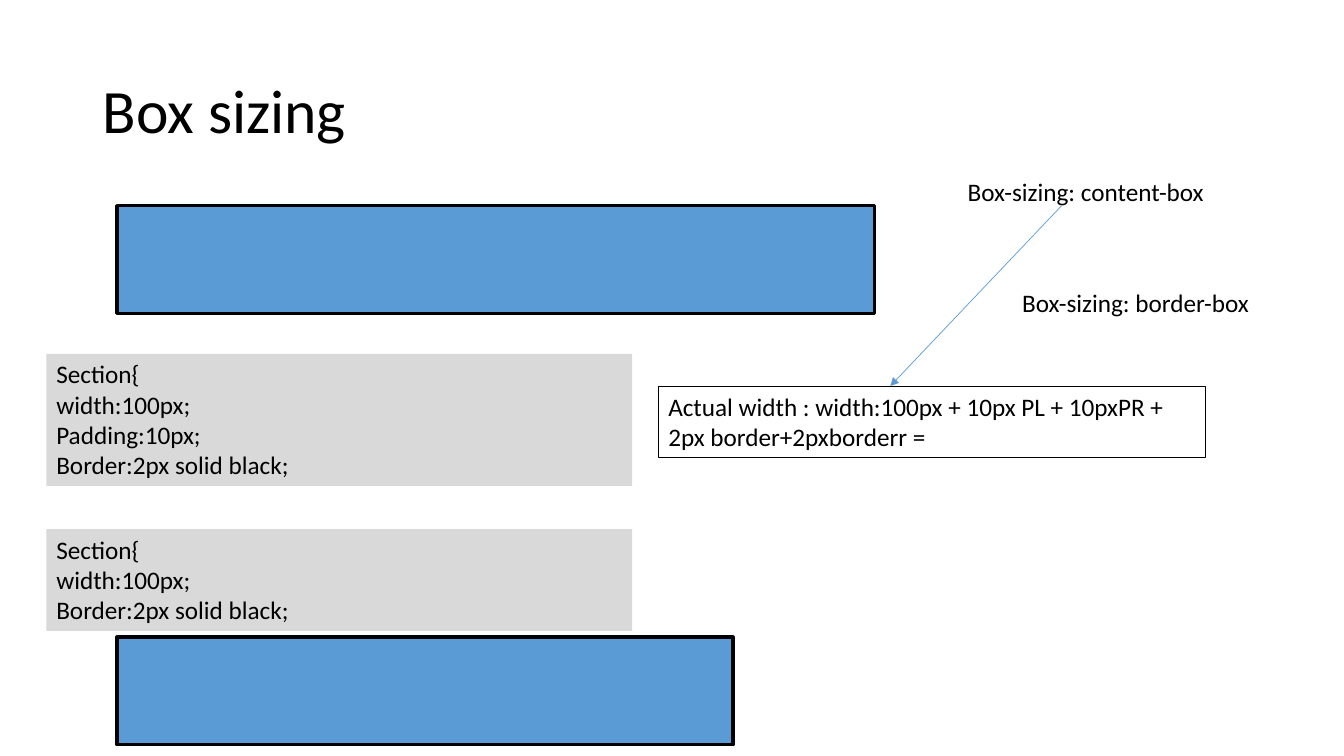
import lxml.etree
import pptx
import pptx.dml.color
import pptx.enum.shapes
import pptx.enum.text
import pptx.oxml.ns
import pptx.util

Inches = pptx.util.Inches
RGB = pptx.dml.color.RGBColor
BLACK = RGB(0x00, 0x00, 0x00)
BLUE = RGB(0x5B, 0x9B, 0xD5)
GREY = RGB(0xD9, 0xD9, 0xD9)
MIDDLE = pptx.enum.text.MSO_ANCHOR.MIDDLE
TOP = pptx.enum.text.MSO_ANCHOR.TOP


def rect(slide, box, fill=None, line=None, width=0.75):
    kind = pptx.enum.shapes.MSO_SHAPE.RECTANGLE
    shape = slide.shapes.add_shape(kind, *map(Inches, box))
    shape.shadow.inherit = False
    if fill is None:
        shape.fill.background()
    else:
        shape.fill.solid()
        shape.fill.fore_color.rgb = fill
    if line is None:
        shape.line.fill.background()
    else:
        shape.line.color.rgb = line
        shape.line.width = pptx.util.Pt(width)
    return shape


def write(shape, text, size=18, anchor=TOP, spacing=1.0):
    """Fill a shape with left-aligned text, one paragraph a line."""
    frame = shape.text_frame
    frame.word_wrap = True
    frame.vertical_anchor = anchor
    frame.text = text
    for para in frame.paragraphs:
        para.alignment = pptx.enum.text.PP_ALIGN.LEFT
        para.line_spacing = spacing
        font = para.runs[0].font
        font.name = "Calibri"
        font.size = pptx.util.Pt(size)
        font.color.rgb = BLACK


def label(slide, box, text, **style):
    write(slide.shapes.add_textbox(*map(Inches, box)), text, **style)


def arrow(slide, start, end):
    kind = pptx.enum.shapes.MSO_CONNECTOR.STRAIGHT
    link = slide.shapes.add_connector(kind, *map(Inches, start + end))
    link.line.color.rgb = BLUE
    link.line.width = pptx.util.Pt(0.5)
    qn = pptx.oxml.ns.qn
    tail = lxml.etree.SubElement(link.line._get_or_add_ln(), qn("a:tailEnd"))
    tail.set("type", "triangle")
    lxml.etree.SubElement(link._element.spPr, qn("a:effectLst"))


def rule(slide, box, code):
    """Draw a grey panel with a style rule."""
    write(rect(slide, box, fill=GREY), code)


def bar(slide, box):
    rect(slide, box, fill=BLUE, line=BLACK, width=2.25)


def content(slide, box):
    """Draw the content-box example: bar, rule and width sum."""
    x, y, w, h = box
    bar(slide, (x + 0.7, y, 7.51, 1.07))
    rule(slide, (x, y + 1.47, 5.81, h - 1.47),
         "Section{\nwidth:100px;\nPadding:10px;\nBorder:2px solid black;")
    total = rect(slide, (x + 6.07, y + 1.79, w - 6.07, 0.71), line=BLACK)
    write(total, "Actual width : width:100px + 10px PL + 10pxPR + "
                 "2px border+2pxborderr =")


def border(slide, box):
    """Draw the border-box example: rule above its bar."""
    x, y, w, h = box
    rule(slide, (x, y, 5.81, 1.01),
         "Section{\nwidth:100px;\nBorder:2px solid black;")
    bar(slide, (x + 0.7, y + 1.07, w - 0.7, h - 1.07))


def notes(slide, box):
    """Name both sizing modes and point from the first to the width sum."""
    x, y, w, h = box
    label(slide, (x, y, w, h), "Box-sizing: content-box")
    arrow(slide, (x + 1.03, y + 0.34), (x - 0.67, y + 2.13))
    label(slide, (x + 0.54, y + 1.1, w, h), "Box-sizing: border-box")


def main():
    deck = pptx.Presentation()
    deck.slide_width = Inches(13.33)
    deck.slide_height = Inches(7.5)
    slide = deck.slides.add_slide(deck.slide_layouts[6])
    label(slide, (0.92, 0.4, 11.5, 1.45), "Box sizing",
          size=44, anchor=MIDDLE, spacing=0.9)
    content(slide, (0.46, 2.04, 11.5, 2.78))
    border(slide, (0.46, 5.25, 6.81, 2.14))
    notes(slide, (9.5, 1.7, 3.83, 0.4))
    deck.save("out.pptx")


if __name__ == "__main__":
    main()
